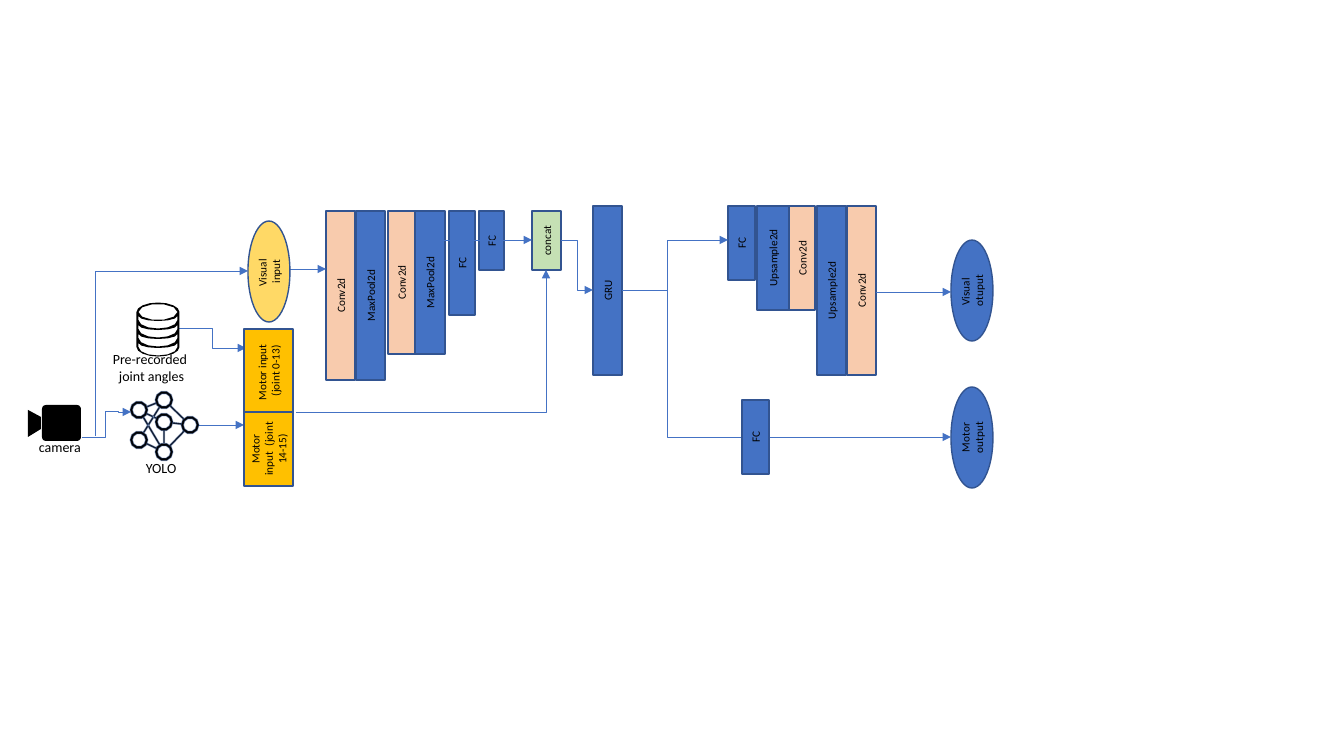
"""Draw the network that predicts visual and motor output from camera and joint data."""
from math import atan2, cos, pi, sin

from lxml import etree
from pptx import Presentation
from pptx.dml.color import RGBColor
from pptx.enum.shapes import MSO_CONNECTOR, MSO_SHAPE
from pptx.enum.text import MSO_ANCHOR, PP_ALIGN
from pptx.oxml.ns import qn
from pptx.util import Emu, Pt

PX = 914400 / 100.8
THEME = {
    "font": "Calibri", "box_size": 8, "label_size": 10, "ink": "000000",
    "border": "325491", "border_width": 1, "arrow": "4472C4", "arrow_width": 0.5,
    "dense": "4472C4", "conv": "F8CBAD", "concat": "C5E0B4",
    "visual": "FFD966", "motor": "FFC000", "icon_width": 0.75,
}
RECT, OVAL = MSO_SHAPE.RECTANGLE, MSO_SHAPE.OVAL

ENCODER = (211, [
    ("Conv2d", 326, 29, 169), ("MaxPool2d", 356, 29, 169),
    ("Conv2d", 388, 27, 143), ("MaxPool2d", 415, 30, 143),
    ("FC", 449, 26, 104), ("FC", 479, 25, 59), ("concat", 532, 29, 59),
])
DECODER = (206, [
    ("FC", 728, 27, 74), ("Upsample2d", 757, 32, 104), ("Conv2d", 789, 26, 104),
    ("Upsample2d", 817, 29, 169), ("Conv2d", 847, 29, 169), ("GRU", 593, 29, 169),
])
LAYER_FILL = {"Conv2d": "conv", "concat": "concat"}
ENDS = [
    ("Visual  input", OVAL, "visual", (248, 221, 42, 101)),
    ("Visual  otuput", OVAL, "dense", (951, 240, 42, 101)),
    ("Motor output", OVAL, "dense", (951, 387, 42, 101)),
    ("Motor input  (joint 0-13)", RECT, "motor", (244, 329, 49, 84)),
    ("Motor input  (joint 14-15)", RECT, "motor", (244, 412, 49, 74)),
    ("FC", RECT, "dense", (742, 400, 27, 74)),
]
ARROWS = [
    ((421, 240), (532, 240), "line", []),
    ((876, 292), (951, 292), "line", []),
    ((290, 269), (326, 269), "line", []),
    ((199, 425), (244, 425), "line", []),
    ((296, 412), (546, 270), "bentConnector2", []),
    ((561, 240), (593, 290), "bentConnector3", [50]),
    ((622, 290), (951, 437), "bentConnector3", [13.9]),
    ((667, 292), (728, 240), "bentConnector3", [0]),
    ((179, 328), (246, 348), "bentConnector3", [50]),
    ((95, 436), (248, 271), "bentConnector3", [0]),
    ((82, 437), (131, 412), "bentConnector5", [46.8, 102, 75.3]),
]
LABELS = [
    (["Pre-recorded ", "joint angles"], (94, 346, 115, 48), PP_ALIGN.CENTER),
    (["YOLO"], (136, 455, 65, 29), PP_ALIGN.LEFT),
    (["camera"], (29, 434, 69, 29), PP_ALIGN.LEFT),
]
CAMERA_BODY = (42, 405, 39, 36)
CAMERA_LENS = [(41, 417), (28, 410), (28, 437), (41, 429)]
NODES = {"A": (139, 410), "B": (139, 440), "C": (164, 400),
         "D": (164, 422), "E": (164, 452), "F": (190, 425)}
EDGES = ["AC", "AD", "AE", "BC", "BE", "CF", "DF", "DE", "EF"]
NODE_RADII, EDGE_HALF = (9, 6.5), 0.7
DISC_X, DISC_TOP, DISC_BOTTOM, DISC_STEP, DISC_COUNT = 158, 312, 347, 9, 4


def emu(*lengths):
    return [Emu(round(v * PX)) for v in lengths]


def rgb(key):
    return RGBColor.from_string(THEME[key])


def paint(shape, fill, line=None, width=1):
    shape.shadow.inherit = False
    shape.fill.solid()
    shape.fill.fore_color.rgb = rgb(fill)
    if line:
        shape.line.color.rgb = rgb(line)
        shape.line.width = Pt(width)
    else:
        shape.line.fill.background()
    return shape


def write(tf, lines, size, align, **frame):
    for name, value in {"word_wrap": True, **frame}.items():
        setattr(tf, name, value)
    for i, text in enumerate(lines):
        p = tf.paragraphs[0] if i == 0 else tf.add_paragraph()
        p.alignment = align
        r = p.add_run()
        r.text = text
        for name, value in {"name": THEME["font"], "size": Pt(THEME[size])}.items():
            setattr(r.font, name, value)
        r.font.color.rgb = rgb("ink")


def add_box(s, text, preset, fill, place):
    sp = s.shapes.add_shape(preset, *emu(*place))
    paint(sp, fill, "border", THEME["border_width"])
    write(sp.text_frame, [text], "box_size", PP_ALIGN.CENTER,
          vertical_anchor=MSO_ANCHOR.MIDDLE)
    sp.text_frame._txBody.bodyPr.set("vert", "vert270")


def add_arrow(s, start, end, preset, bends):
    kind = MSO_CONNECTOR.STRAIGHT if preset == "line" else MSO_CONNECTOR.ELBOW
    c = s.shapes.add_connector(kind, *emu(*start, *end))
    c.line.color.rgb = rgb("arrow")
    c.line.width = Pt(THEME["arrow_width"])
    sppr = c._element.spPr
    etree.SubElement(sppr.find(qn("a:ln")), qn("a:tailEnd"), type="triangle")
    etree.SubElement(sppr, qn("a:effectLst"))
    geom = sppr.find(qn("a:prstGeom"))
    geom.set("prst", preset)
    guides = geom.get_or_add_avLst()
    for i, share in enumerate(bends, 1):
        etree.SubElement(guides, qn("a:gd"), name=f"adj{i}",
                         fmla=f"val {round(share * 1000)}")


def arc(cx, cy, rx, ry, start=0, end=2 * pi, steps=6):
    angles = [start + (end - start) * i / steps for i in range(steps + 1)]
    return [(cx + rx * cos(a), cy + ry * sin(a)) for a in angles]


def ring(cx, cy, rx, ry):
    return arc(cx, cy, rx, ry, steps=10)[:-1]


def add_outline(s, contours):
    first, *rest = [[emu(*point) for point in contour] for contour in contours]
    fb = s.shapes.build_freeform(*first[0], scale=1.0)
    fb.add_line_segments(first[1:], close=True)
    for contour in rest:
        fb.move_to(*contour[0])
        fb.add_line_segments(contour[1:], close=True)
    return fb.convert_to_shape()


def edge(a, b):
    (ax, ay), (bx, by) = NODES[a], NODES[b]
    t, r = atan2(by - ay, bx - ax), NODE_RADII[0]
    dx, dy = cos(t), sin(t)
    return [(x + k * r * dx - side * EDGE_HALF * dy, y + k * r * dy + side * EDGE_HALF * dx)
            for x, y, k, side in ((ax, ay, 1, 1), (bx, by, -1, 1),
                                  (bx, by, -1, -1), (ax, ay, 1, -1))]


def add_icons(s):
    body = s.shapes.add_shape(MSO_SHAPE.ROUNDED_RECTANGLE, *emu(*CAMERA_BODY))
    body.adjustments[0] = 0.11
    paint(body, "ink")
    paint(add_outline(s, [CAMERA_LENS]), "ink")

    rings = [ring(x, y, r, r) for x, y in NODES.values() for r in NODE_RADII]
    net = paint(add_outline(s, rings + [edge(*pair) for pair in EDGES]),
                "ink", "border", THEME["icon_width"])
    color = net.line._ln.find(".//" + qn("a:srgbClr"))
    etree.SubElement(color, qn("a:alpha"), val="40000")

    shell = (arc(DISC_X, DISC_BOTTOM, 21.5, 9.5, 0, pi, 8)
             + arc(DISC_X, DISC_TOP, 21.5, 9.5, pi, 2 * pi, 8))
    floors = [DISC_BOTTOM - DISC_STEP * i for i in range(DISC_COUNT)]
    bands = [arc(DISC_X, y, 19.5, 8.5, 0, pi) + arc(DISC_X, y - 4, 19.5, 5, pi, 0)
             for y in floors]
    paint(add_outline(s, [shell, ring(DISC_X, DISC_TOP, 19.5, 8)] + bands), "ink")


prs = Presentation()
prs.slide_width, prs.slide_height = emu(1344, 756)
s = prs.slides.add_slide(prs.slide_layouts[6])
for top, layers in (ENCODER, DECODER):
    for text, left, width, height in layers:
        add_box(s, text, RECT, LAYER_FILL.get(text, "dense"), (left, top, width, height))
for arrow in ARROWS:
    add_arrow(s, *arrow)
for end in ENDS:
    add_box(s, *end)
add_icons(s)
for lines, place, align in LABELS:
    write(s.shapes.add_textbox(*emu(*place)).text_frame, lines, "label_size", align)
prs.save("out.pptx")
